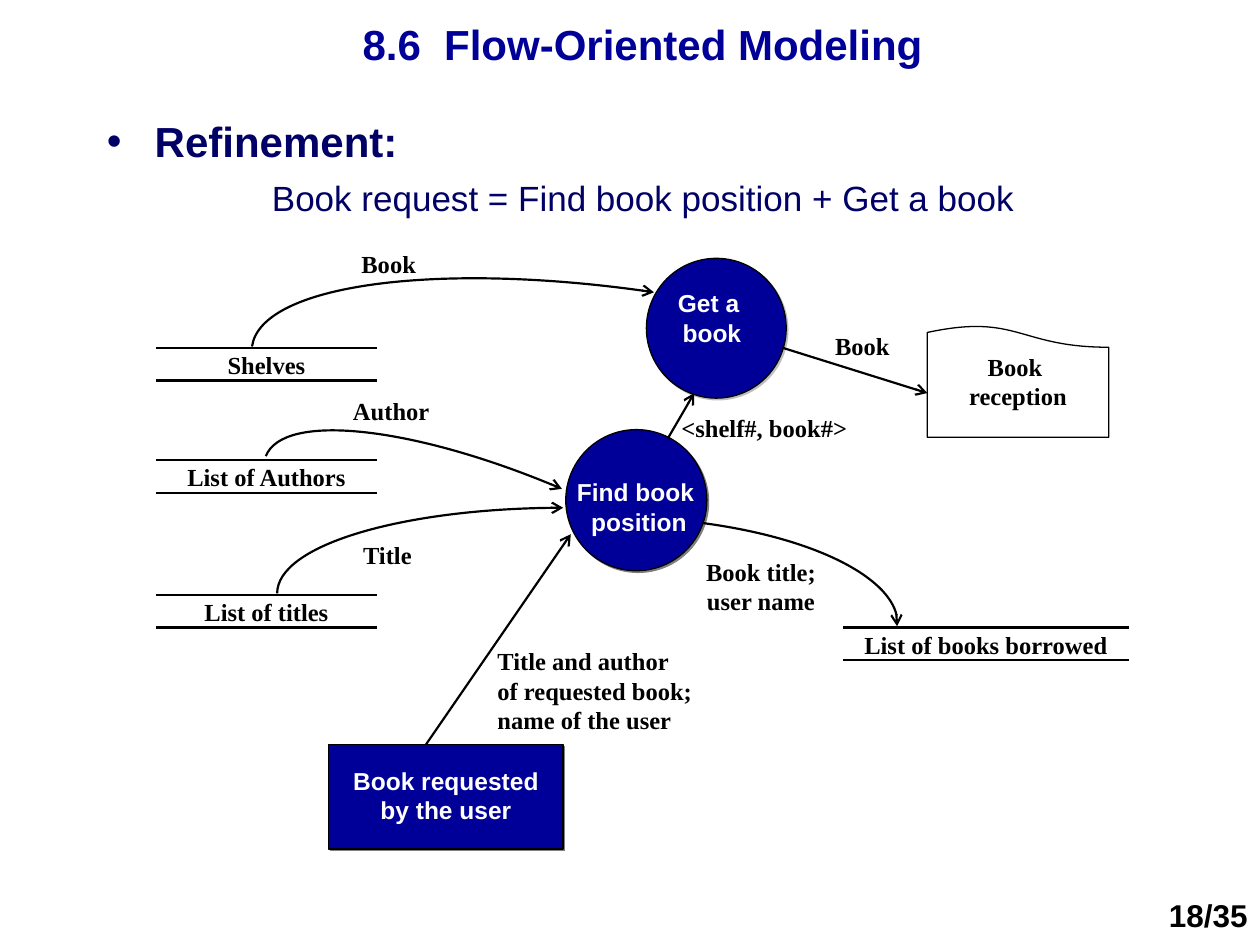
from lxml.etree import SubElement
from pptx import Presentation
from pptx.dml.color import RGBColor
from pptx.enum.shapes import MSO_CONNECTOR, MSO_SHAPE
from pptx.enum.text import MSO_ANCHOR, PP_ALIGN
from pptx.oxml import parse_xml
from pptx.oxml.ns import nsdecls, qn
from pptx.util import Inches, Pt

NAVY = RGBColor(0x00, 0x00, 0x99)
DARK_NAVY = RGBColor(0x00, 0x00, 0x66)
BLACK = RGBColor(0x00, 0x00, 0x00)
WHITE = RGBColor(0xFF, 0xFF, 0xFF)
SANS, SERIF = "Arial", "Times New Roman"
STORE_GAP = 0.26

# left, top, width, name
STORES = [
    (1.24, 2.76, 1.75, "Shelves"),
    (1.24, 3.65, 1.75, "List of Authors"),
    (1.24, 4.72, 1.75, "List of titles"),
    (6.69, 4.98, 2.27, "List of books borrowed"),
]
# left, top, width, height, text
FLOW_LABELS = [
    (2.57, 1.85, 1.03, 0.53, "Book"),
    (2.59, 3.01, 1.03, 0.53, "Author"),
    (2.56, 4.16, 1.03, 0.53, "Title"),
    (6.33, 2.50, 1.03, 0.53, "Book"),
    (5.32, 4.29, 1.44, 0.72, "Book title;\nuser name"),
    (7.36, 2.66, 1.44, 0.89, "Book \nreception"),
]
LEFT_LABELS = [
    (5.31, 3.15, 1.98, 0.54, "<shelf#, book#>"),
    (3.85, 5.00, 2.27, 1.07,
     "Title and author\nof requested book;\nname of the user"),
]
STRAIGHT_FLOWS = [
    ((6.21, 2.76), (7.36, 3.12)),
    ((5.30, 3.48), (5.51, 3.12)),
    ((3.38, 5.91), (4.53, 4.24)),
]
# start, two control points, end
CURVED_FLOWS = [
    ((2.00, 2.75), (2.07, 2.26), (3.50, 2.07), (5.19, 2.32)),
    ((2.11, 3.62), (2.25, 3.27), (3.31, 3.39), (4.46, 3.88)),
    ((2.20, 4.71), (2.20, 4.33), (3.22, 4.03), (4.47, 4.03)),
    ((5.57, 4.15), (6.47, 4.27), (7.17, 4.64), (7.12, 4.97)),
]


def inches(*values):
    return [Inches(value) for value in values]


def write(shape, text, font=SERIF, size=14, color=BLACK, bold=True,
          align=PP_ALIGN.CENTER, top_inset=0.13):
    frame = shape.text_frame
    frame.word_wrap = True
    frame.vertical_anchor = MSO_ANCHOR.TOP
    frame.margin_top = Inches(top_inset)
    frame.text = text
    for para in frame.paragraphs:
        para.alignment = align
        for span in para.runs:
            span.font.name, span.font.size = font, Pt(size)
            span.font.bold, span.font.color.rgb = bold, color


def add_text(slide, left, top, width, height, text, **style):
    box = slide.shapes.add_textbox(*inches(left, top, width, height))
    write(box, text, **style)
    return box


def add_node(slide, kind, left, top, width, height, shadow_percent=100):
    """Navy shape with a thin outline and a small hard grey shadow."""
    node = slide.shapes.add_shape(kind, *inches(left, top, width, height))
    node.fill.solid()
    node.fill.fore_color.rgb = NAVY
    node.line.color.rgb, node.line.width = BLACK, Pt(0.75)
    node._element.spPr.append(parse_xml(
        f'<a:effectLst {nsdecls("a")}><a:outerShdw dist="{Pt(1.4)}" dir="2700000">'
        f'<a:srgbClr val="808080"><a:alpha val="{shadow_percent * 1000}"/></a:srgbClr>'
        '</a:outerShdw></a:effectLst>'))
    return node


def style_flow(shape, arrow):
    shape.line.color.rgb, shape.line.width = BLACK, Pt(1.25)
    if arrow:
        SubElement(shape.line._get_or_add_ln(), qn("a:tailEnd"), type="arrow")


def add_line(slide, start, end, arrow=False):
    line = slide.shapes.add_connector(MSO_CONNECTOR.STRAIGHT, *inches(*start, *end))
    style_flow(line, arrow)
    SubElement(line._element.spPr, qn("a:effectLst"))


def add_curve(slide, points):
    """Open freeform whose three segments are merged into one Bézier curve."""
    start, *rest = [inches(*point) for point in points]
    builder = slide.shapes.build_freeform(*start)
    builder.add_line_segments(rest, close=False)
    curve = builder.convert_to_shape()
    curve.shadow.inherit = False
    curve.fill.background()
    style_flow(curve, arrow=True)
    outline = curve._element.find(".//" + qn("a:path"))
    segments = outline.findall(qn("a:lnTo"))
    bezier = SubElement(outline, qn("a:cubicBezTo"))
    for segment in segments:
        bezier.append(segment[0])
        outline.remove(segment)


def add_store(slide, left, top, width, name):
    add_text(slide, left, top - 0.11, width, 0.54, name)
    for y in (top, top + STORE_GAP):
        add_line(slide, (left, y), (left + width, y))


def add_title(slide, text):
    title = slide.shapes.title
    title.left, title.top, title.width, title.height = inches(1.85, -0.03, 6.5, 0.76)
    write(title, text, font=SANS, size=24, color=NAVY, top_inset=0.05)
    title.text_frame.vertical_anchor = MSO_ANCHOR.MIDDLE


def add_refinement(slide):
    box = add_text(slide, 0.75, 0.87, 8.53, 1.23,
                   "Refinement:\nBook request = Find book position + Get a book",
                   font=SANS, size=24, color=DARK_NAVY,
                   align=PP_ALIGN.LEFT, top_inset=0.05)
    heading, equation = box.text_frame.paragraphs
    props = heading._p.get_or_add_pPr()
    props.set("marL", str(Inches(0.38)))
    props.set("indent", str(-Inches(0.38)))
    SubElement(props, qn("a:buFont"), typeface=SANS)
    SubElement(props, qn("a:buChar"), char="•")
    equation._p.get_or_add_pPr().set("marL", str(Inches(1.31)))
    equation.space_before = Pt(6)
    equation.runs[0].font.size, equation.runs[0].font.bold = Pt(20), False


def add_nodes(slide):
    node_text = {"font": SANS, "color": WHITE}
    add_node(slide, MSO_SHAPE.OVAL, 4.49, 3.41, 1.12, 1.12)
    add_text(slide, 4.31, 3.66, 1.47, 0.73, "Find book\n position", **node_text)
    add_node(slide, MSO_SHAPE.OVAL, 5.13, 2.05, 1.11, 1.11, shadow_percent=50)
    add_text(slide, 5.09, 2.16, 1.12, 0.94, "Get a \nbook", **node_text)
    user = add_node(slide, MSO_SHAPE.RECTANGLE, 2.61, 5.91, 1.86, 0.83)
    write(user, "Book requested\nby the user", top_inset=0.17, **node_text)

    reception = slide.shapes.add_shape(MSO_SHAPE.FLOWCHART_DOCUMENT,
                                       *inches(7.36, 2.58, 1.44, 0.89))
    reception.shadow.inherit = False
    reception.fill.background()
    reception.line.color.rgb, reception.line.width = BLACK, Pt(0.75)
    reception._element.spPr.xfrm.set("flipV", "1")


def main():
    deck = Presentation()
    deck.slide_width, deck.slide_height = inches(10, 7.5)
    slide = deck.slides.add_slide(deck.slide_layouts[5])
    add_title(slide, "8.6  Flow-Oriented Modeling")
    add_refinement(slide)
    add_nodes(slide)
    for store in STORES:
        add_store(slide, *store)
    for points in CURVED_FLOWS:
        add_curve(slide, points)
    for start, end in STRAIGHT_FLOWS:
        add_line(slide, start, end, arrow=True)
    for label in FLOW_LABELS:
        add_text(slide, *label)
    for label in LEFT_LABELS:
        add_text(slide, *label, align=PP_ALIGN.LEFT)
    add_text(slide, 9.1, 7.06, 0.9, 0.4, "18/35", font=SANS, size=18,
             align=PP_ALIGN.RIGHT, top_inset=0.05)
    deck.save("out.pptx")


if __name__ == "__main__":
    main()
